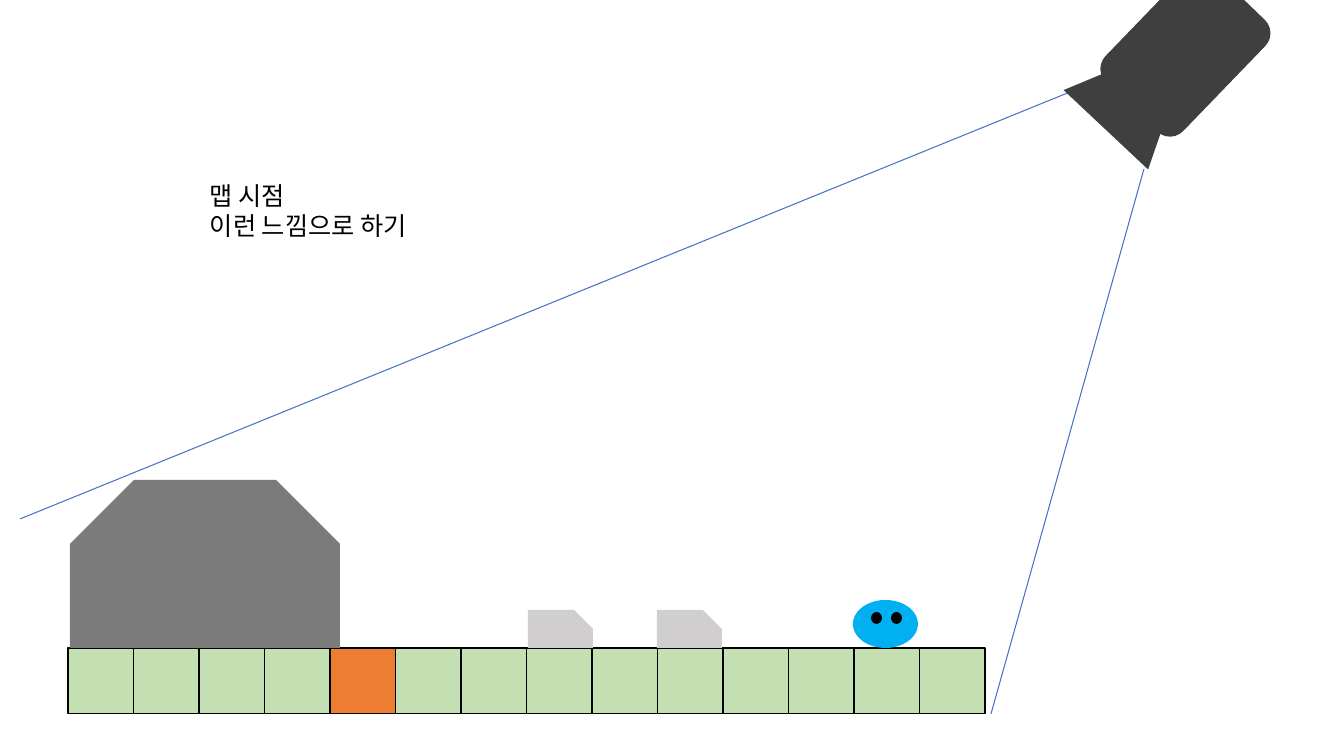
"""Build a side-view sketch of a game map and the camera looking down on it."""
from dataclasses import dataclass

from lxml import etree
from pptx import Presentation
from pptx.dml.color import RGBColor
from pptx.enum.shapes import MSO_CONNECTOR, MSO_SHAPE
from pptx.oxml.ns import qn
from pptx.util import Emu, Pt


@dataclass(frozen=True)
class Theme:
    grass: str = "C4E0B2"
    marked: str = "ED7D31"
    outline: str = "000000"
    player: str = "00B0F0"
    rock: str = "D0CECE"
    building: str = "7B7B7B"
    camera: str = "3F3F3F"
    sight: str = "4472C4"
    ink: str = "000000"
    font: str = "Noto Sans CJK KR"
    note_size: int = 18


THEME = Theme()
EMU_PER_PX = 914400 / 100.8


def px(*lengths):
    return [Emu(round(length * EMU_PER_PX)) for length in lengths]


def add_part(preset, box, color, adjustments=(), rotation=0):
    part = slide.shapes.add_shape(preset, *px(*box))
    part.shadow.inherit = False
    part.fill.solid()
    part.fill.fore_color.rgb = RGBColor.from_string(color)
    part.line.fill.background()
    part.rotation = rotation
    for index, value in enumerate(adjustments):
        part.adjustments[index] = value
    return part


prs = Presentation()
prs.slide_width, prs.slide_height = px(1344, 756)
slide = prs.slides.add_slide(prs.slide_layouts[6])

ground_left, ground_top, ground_width = 68, 648, 917
tile_count, marked_tile = 14, 4
tile_size = ground_width / tile_count
for index in range(tile_count):
    tile_color = THEME.marked if index == marked_tile else THEME.grass
    tile_box = (ground_left + index * tile_size, ground_top, tile_size, tile_size)
    tile = add_part(MSO_SHAPE.RECTANGLE, tile_box, tile_color)
    tile.line.color.rgb = RGBColor.from_string(THEME.outline)
    tile.line.width = Pt(1)

add_part(MSO_SHAPE.OVAL, (853, ground_top - 48, 65, 48), THEME.player)
for eye_left in (871, 891):
    add_part(MSO_SHAPE.OVAL, (eye_left, 612, 11, 12), THEME.ink)

for rock_left in (657, 528):
    rock_box = (rock_left, ground_top - 38, 65, 38)
    add_part(MSO_SHAPE.SNIP_1_RECTANGLE, rock_box, THEME.rock, [0.5])

for sight_ends in ((1070, 92, 20, 519), (1144, 169, 991, 714)):
    sight = slide.shapes.add_connector(MSO_CONNECTOR.STRAIGHT, *px(*sight_ends))
    sight.line.color.rgb = RGBColor.from_string(THEME.sight)
    sight.line.width = Pt(0.75)
    etree.SubElement(sight._element.spPr, qn("a:effectLst"))

add_part(MSO_SHAPE.TRAPEZOID, (1066, 84, 116, 53), THEME.camera, [0.45], 43.2)
add_part(MSO_SHAPE.ROUNDED_RECTANGLE, (1108, -3, 155, 108), THEME.camera, [0.17], 314)

note = slide.shapes.add_textbox(*px(200, 175, 288, 72)).text_frame
note.word_wrap = True
for index, sentence in enumerate(("맵 시점", "이런 느낌으로 하기")):
    paragraph = note.add_paragraph() if index else note.paragraphs[0]
    run = paragraph.add_run()
    run.text = sentence
    run.font.size = Pt(THEME.note_size)
    run.font.name = THEME.font
    run.font.color.rgb = RGBColor.from_string(THEME.ink)
    etree.SubElement(run.font._element, qn("a:ea"), typeface=THEME.font)

building_box = (70, ground_top - 168, 270, 168)
add_part(MSO_SHAPE.SNIP_2_SAME_RECTANGLE, building_box, THEME.building, [0.38, 0])

prs.save("out.pptx")
